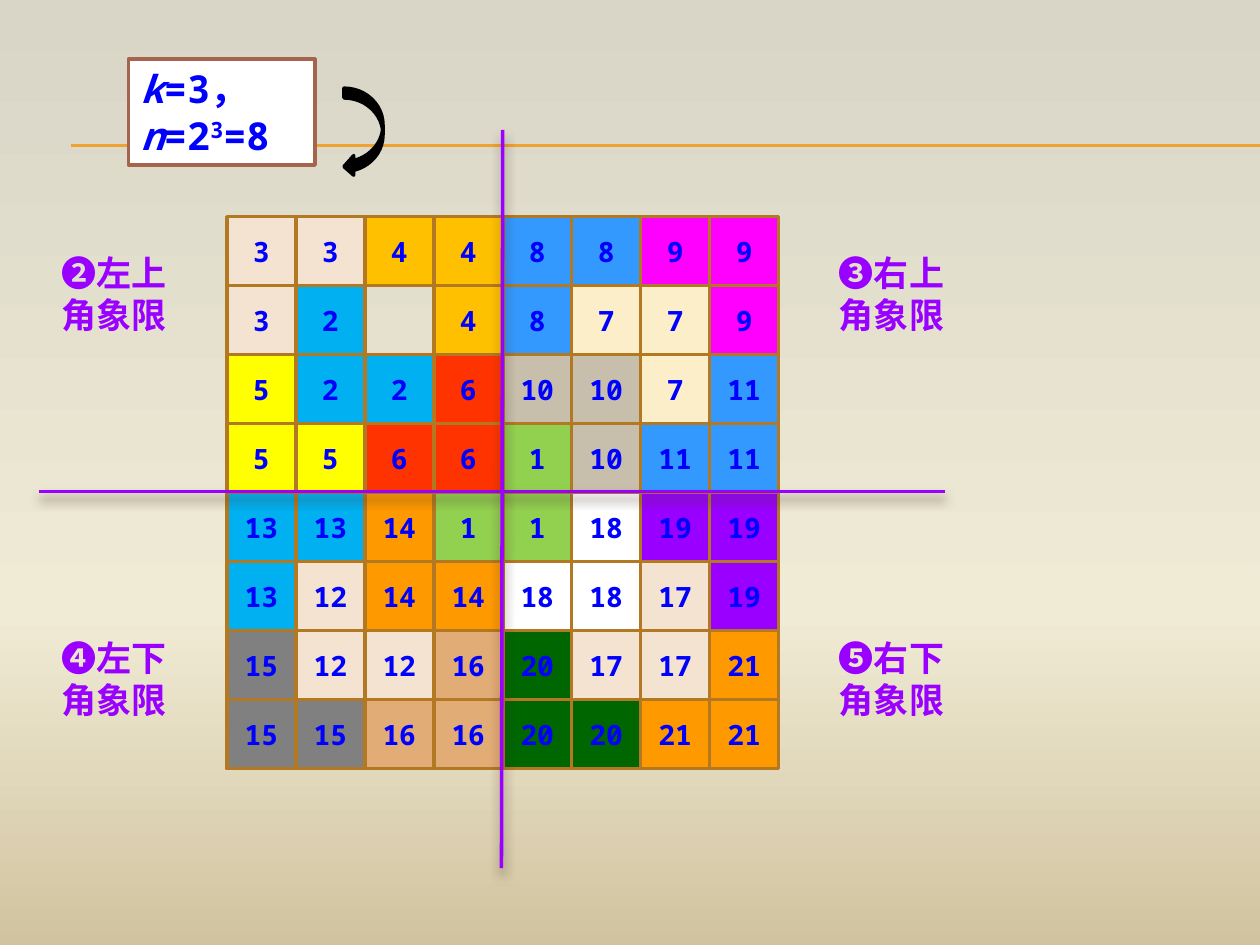
import copy
import pptx
import pptx.util
import pptx.dml.color
import pptx.enum.shapes
import pptx.enum.text
import pptx.oxml
import pptx.oxml.ns

Inches, Pt = pptx.util.Inches, pptx.util.Pt
SHAPE = pptx.enum.shapes.MSO_SHAPE
MONO, CJK = "Noto Sans Mono", "Noto Sans CJK SC"
BLUE, PURPLE, GOLD, BROWN = "0000FF", "9900FF", "F0A22E", "B27822"

# Tile numbers on the board; 0 is the missing square
BOARD = [
    [3, 3, 4, 4, 8, 8, 9, 9],
    [3, 2, 0, 4, 8, 7, 7, 9],
    [5, 2, 2, 6, 10, 10, 7, 11],
    [5, 5, 6, 6, 1, 10, 11, 11],
    [13, 13, 14, 1, 1, 18, 19, 19],
    [13, 12, 14, 14, 18, 18, 17, 19],
    [15, 12, 12, 16, 20, 17, 17, 21],
    [15, 15, 16, 16, 20, 20, 21, 21],
]
TILES = {
    "F5E3D1": [3, 12, 17], "FFC000": [4], "3399FF": [8, 11], "FF00FF": [9],
    "00B0F0": [2, 13], "FBEEC9": [7], "FFFF00": [5], "FF3300": [6],
    "C7BFAC": [10], "92D050": [1], "FF9900": [14, 21], "FFFFFF": [18],
    "9900FF": [19], "808080": [15], "E2AC76": [16], "006600": [20],
}
LEFT, TOP, SIDE = 1.8, 1.72, 4.38 / 8

# Text, left, top, width
LABELS = [
    ("❷左上角象限", 0.39, 1.95, 1.09),
    ("❸右上角象限", 6.56, 1.95, 1.09),
    ("❺右下角象限", 6.56, 5, 1.25),
    ("❹左下角象限", 0.39, 5, 1.25),
]
# Text, italic, raised
SIZES = [("k", True, False), ("=3，", False, False), ("n", True, False),
         ("=2", False, False), ("3", False, True), ("=8", False, False)]
SKY = [(0, "D9D5C7"), (0.65, "F0EBD5"), (1, "D1C39F")]
RULES = [(0.56, 1.15, 10, 1.15), (0.56, 1.16, 10, 1.16)]
AXES = [(0.31, 3.9, 7.5, 3.9), (3.99, 1.03, 3.98, 6.89)]
SHADOW = ('<a:outerShdw blurRad="76200" dist="50800" dir="5400000" algn="t" '
          'rotWithShape="0"><a:srgbClr val="4E3B30"><a:alpha val="60000"/>'
          '</a:srgbClr></a:outerShdw>')


def tint(text):
    return pptx.dml.color.RGBColor.from_string(text)


def write(par, text, size, face, color, slant=False, lift=False):
    run = par.add_run()
    run.text = text
    font = run.font
    font.size, font.name, font.bold, font.italic = Pt(size), face, True, slant
    font.color.rgb = tint(color)
    props = run.font._element
    east = pptx.oxml.parse_xml(
        f'<a:ea {pptx.oxml.ns.nsdecls("a")} typeface="{face}"/>')
    props.find(pptx.oxml.ns.qn("a:latin")).addnext(east)
    if lift:
        props.set("baseline", "30000")


def block(parent, kind, left, top, width, height, fill, edge):
    shape = parent.add_shape(kind, *map(Inches, (left, top, width, height)))
    shape.shadow.inherit = False
    shape.fill.solid()
    shape.fill.fore_color.rgb = tint(fill)
    shape.line.color.rgb = tint(edge)
    shape.line.width = Pt(2)
    return shape


def stroke(shapes, ends, color, width, shade=""):
    line = shapes.add_connector(
        pptx.enum.shapes.MSO_CONNECTOR.STRAIGHT, *map(Inches, ends))
    line.line.color.rgb = tint(color)
    line.line.width = Pt(width)
    line._element.spPr.append(pptx.oxml.parse_xml(
        f'<a:effectLst {pptx.oxml.ns.nsdecls("a")}>{shade}</a:effectLst>'))


def main():
    deck = pptx.Presentation()
    deck.slide_width, deck.slide_height = Inches(10), Inches(7.5)
    slide = deck.slides.add_slide(deck.slide_layouts[6])
    shapes = slide.shapes

    # Background
    fill = slide.background.fill
    fill.gradient()
    fill.gradient_angle = 270
    stops = next(slide.element.iter(pptx.oxml.ns.qn("a:gsLst")))
    stops.append(copy.deepcopy(stops[0]))
    for stop, (place, color) in zip(fill.gradient_stops, SKY):
        stop.position = place
        stop.color.rgb = tint(color)
    for ends in RULES:
        stroke(shapes, ends, GOLD, 0.75)

    # Board size
    box = block(shapes, SHAPE.RECTANGLE, 1.02, 0.47, 1.48, 0.84,
                "FFFFFF", "A5644E")
    frame = box.text_frame
    frame.word_wrap = True
    frame.vertical_anchor = pptx.enum.text.MSO_ANCHOR.TOP
    frame.paragraphs[0].alignment = pptx.enum.text.PP_ALIGN.LEFT
    for text, slant, lift in SIZES:
        write(frame.paragraphs[0], text, 22, MONO, BLUE, slant, lift)

    # L-shaped tiles, one group for each number
    fills = {tile: color for color, tiles in TILES.items() for tile in tiles}
    groups = {}
    for row, tiles in enumerate(BOARD):
        for col, tile in enumerate(tiles):
            if not tile:
                continue
            if tile not in groups:
                groups[tile] = shapes.add_group_shape()
            cell = block(groups[tile].shapes, SHAPE.RECTANGLE,
                         LEFT + col * SIDE, TOP + row * SIDE, SIDE, SIDE,
                         fills[tile], BROWN)
            frame = cell.text_frame
            frame.margin_left = frame.margin_right = 0
            frame.vertical_anchor = pptx.enum.text.MSO_ANCHOR.MIDDLE
            frame.paragraphs[0].alignment = pptx.enum.text.PP_ALIGN.CENTER
            write(frame.paragraphs[0], str(tile), 16, MONO, BLUE)

    # Arrow and quadrant axes
    block(shapes, SHAPE.CURVED_LEFT_ARROW, 2.73, 0.7, 0.31, 0.7,
          "000000", "000000")
    for ends in AXES:
        stroke(shapes, ends, PURPLE, 2, SHADOW)

    # Quadrant labels
    for text, left, top, width in LABELS:
        label = shapes.add_textbox(*map(Inches, (left, top, width, 0.77)))
        label.text_frame.word_wrap = True
        write(label.text_frame.paragraphs[0], text, 20, CJK, PURPLE)

    deck.save("out.pptx")


if __name__ == "__main__":
    main()
